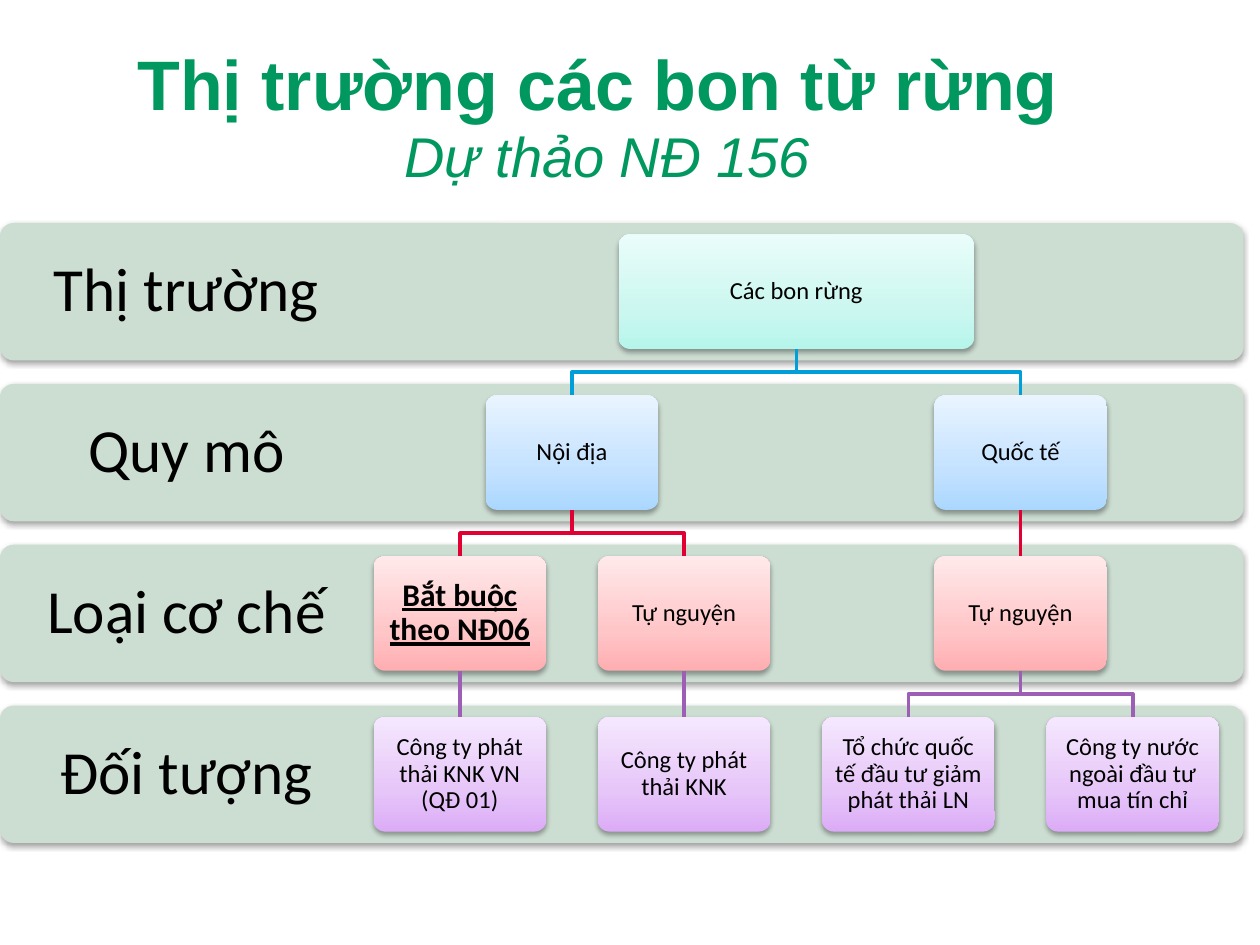
from copy import deepcopy

from lxml import etree
from pptx import Presentation
from pptx.dml.color import RGBColor
from pptx.enum.shapes import MSO_CONNECTOR, MSO_SHAPE
from pptx.enum.text import MSO_ANCHOR, PP_ALIGN
from pptx.oxml.ns import qn
from pptx.util import Inches, Pt

ROUNDED = MSO_SHAPE.ROUNDED_RECTANGLE
STRAIGHT = MSO_CONNECTOR.STRAIGHT
CENTER = PP_ALIGN.CENTER
TOP, MIDDLE = MSO_ANCHOR.TOP, MSO_ANCHOR.MIDDLE

BAND_TOP, BAND_HEIGHT, BAND_WIDTH = 1.77, 1.09, 9.87
ROW_STEP = (5.6 - BAND_TOP) / 3
LABEL_WIDTH = 2.96
BOX_WIDTH, ROOT_WIDTH, BOX_HEIGHT = 1.37, 2.82, 0.91
FIRST_CENTER, COLUMN_STEP = 3.65, 1.78

ROW_LABELS = ["Thị trường", "Quy mô", "Loại cơ chế", "Đối tượng"]
ROW_GRADIENTS = [
    ["B6F5EB", "CCF7F0", "EAFDFA"],
    ["ABD7FF", "C4E2FF", "E9F4FF"],
    ["FFAEB1", "FFC6C8", "FFE9EA"],
    ["DCACF7", "E6C5F8", "F5E8FE"],
]
LINK_COLORS = {1: "009FDA", 2: "E00034", 3: "9C5FB5"}

NODES = {
    "root": (0, 1.5, "Các bon rừng", None),
    "domestic": (1, 0.5, "Nội địa", "root"),
    "international": (1, 2.5, "Quốc tế", "root"),
    "mandatory": (2, 0, "Bắt buộc theo NĐ06", "domestic"),
    "voluntary": (2, 1, "Tự nguyện", "domestic"),
    "voluntary abroad": (2, 2.5, "Tự nguyện", "international"),
    "listed emitters": (3, 0, "Công ty phát thải KNK VN (QĐ 01)", "mandatory"),
    "emitters": (3, 1, "Công ty phát thải KNK", "voluntary"),
    "investors": (3, 2, "Tổ chức quốc tế đầu tư giảm phát thải LN", "voluntary abroad"),
    "buyers": (3, 3, "Công ty nước ngoài đầu tư mua tín chỉ", "voluntary abroad"),
}

TITLE = {"name": "Arial", "size": Pt(40), "bold": True}
SUBTITLE = {"name": "Arial", "size": Pt(32), "bold": False, "italic": True}
LABEL = {"name": "Calibri", "size": Pt(35)}
NODE = {"name": "Calibri", "size": Pt(14)}
EMPHASIS = {"name": "Calibri", "size": Pt(18), "bold": True, "underline": True}


def color(value):
    return RGBColor.from_string(value)


def add_span(para, text, formats, text_color="000000"):
    span = para.add_run()
    span.text = text
    for name, value in formats.items():
        setattr(span.font, name, value)
    span.font.color.rgb = color(text_color)


def prepare_text(box, inset, anchor=MIDDLE, spacing=0.9):
    frame = box.text_frame
    frame.word_wrap = True
    frame.vertical_anchor = anchor
    for side in ("left", "top", "right", "bottom"):
        setattr(frame, f"margin_{side}", Inches(inset))
    para = frame.paragraphs[0]
    para.alignment = CENTER
    para.line_spacing = spacing
    return para


def add_shadow(box):
    effects = etree.SubElement(box._element.spPr, qn("a:effectLst"))
    shadow = etree.SubElement(
        effects, qn("a:outerShdw"), blurRad=str(Pt(3)), dist=str(Pt(1.8)),
        dir="5400000", rotWithShape="0")
    tone = etree.SubElement(shadow, qn("a:srgbClr"), val="000000")
    etree.SubElement(tone, qn("a:alpha"), val="35000")


def add_rounded(page, left, top, width, height):
    box = page.shapes.add_shape(
        ROUNDED, Inches(left), Inches(top), Inches(width), Inches(height))
    box.adjustments[0] = 0.1
    box.line.fill.background()
    add_shadow(box)
    return box


def fill_gradient(box, colors):
    box.fill.gradient()
    box.fill.gradient_angle = 90
    stop_list = box._element.spPr.find(f".//{qn('a:gsLst')}")
    stop_list.append(deepcopy(stop_list[0]))
    for stop, position, value in zip(box.fill.gradient_stops, (0, 0.35, 1), colors):
        stop.position = position
        stop.color.rgb = color(value)


def add_title(page):
    box = page.shapes.add_textbox(Inches(0.21), Inches(0.37), Inches(9.22), Inches(1.61))
    para = prepare_text(box, 0, TOP, 0.95)
    add_span(para, "Thị trường các bon từ rừng ", TITLE, "00985F")
    para.add_line_break()
    add_span(para, "Dự thảo NĐ 156", SUBTITLE, "00985F")


def add_band(page, row, label):
    top = BAND_TOP + row * ROW_STEP
    band = add_rounded(page, 0, top, BAND_WIDTH, BAND_HEIGHT)
    band.fill.solid()
    band.fill.fore_color.rgb = color("CCDDD2")
    box = page.shapes.add_textbox(0, Inches(top), Inches(LABEL_WIDTH), Inches(BAND_HEIGHT))
    add_span(prepare_text(box, 0.27), label, LABEL)


def add_node(page, row, column, text, formats):
    width = BOX_WIDTH if row else ROOT_WIDTH
    left = FIRST_CENTER + column * COLUMN_STEP - width / 2
    top = BAND_TOP + row * ROW_STEP + (BAND_HEIGHT - BOX_HEIGHT) / 2
    box = add_rounded(page, left, top, width, BOX_HEIGHT)
    fill_gradient(box, ROW_GRADIENTS[row])
    add_span(prepare_text(box, 0.06), text, formats)
    return box


def add_straight_link(page, parent, child):
    link = page.shapes.add_connector(STRAIGHT, 0, 0, 0, 0)
    link.begin_connect(parent, 2)
    link.end_connect(child, 0)
    return link


def add_elbow_link(page, parent, child):
    start_x, start_y = parent.left + parent.width // 2, parent.top + parent.height
    end_x, end_y = child.left + child.width // 2, child.top
    middle_y = (start_y + end_y) // 2
    builder = page.shapes.build_freeform(start_x, start_y)
    builder.add_line_segments(
        [(start_x, middle_y), (end_x, middle_y), (end_x, end_y)], close=False)
    link = builder.convert_to_shape()
    link.fill.background()
    return link


def add_link(page, parent, child, same_column, link_color):
    link = (add_straight_link if same_column else add_elbow_link)(page, parent, child)
    link.line.color.rgb = color(link_color)
    link.line.width = Pt(2)
    etree.SubElement(link._element.spPr, qn("a:effectLst"))


def main():
    deck = Presentation()
    deck.slide_width, deck.slide_height = Inches(10), Inches(7.5)
    page = deck.slides.add_slide(deck.slide_layouts[6])
    add_title(page)
    for row, label in enumerate(ROW_LABELS):
        add_band(page, row, label)
    boxes = {}
    for key, (row, column, text, parent) in NODES.items():
        formats = EMPHASIS if key == "mandatory" else NODE
        boxes[key] = add_node(page, row, column, text, formats)
        if parent:
            same_column = column == NODES[parent][1]
            add_link(page, boxes[parent], boxes[key], same_column, LINK_COLORS[row])
    deck.save("out.pptx")


if __name__ == "__main__":
    main()
